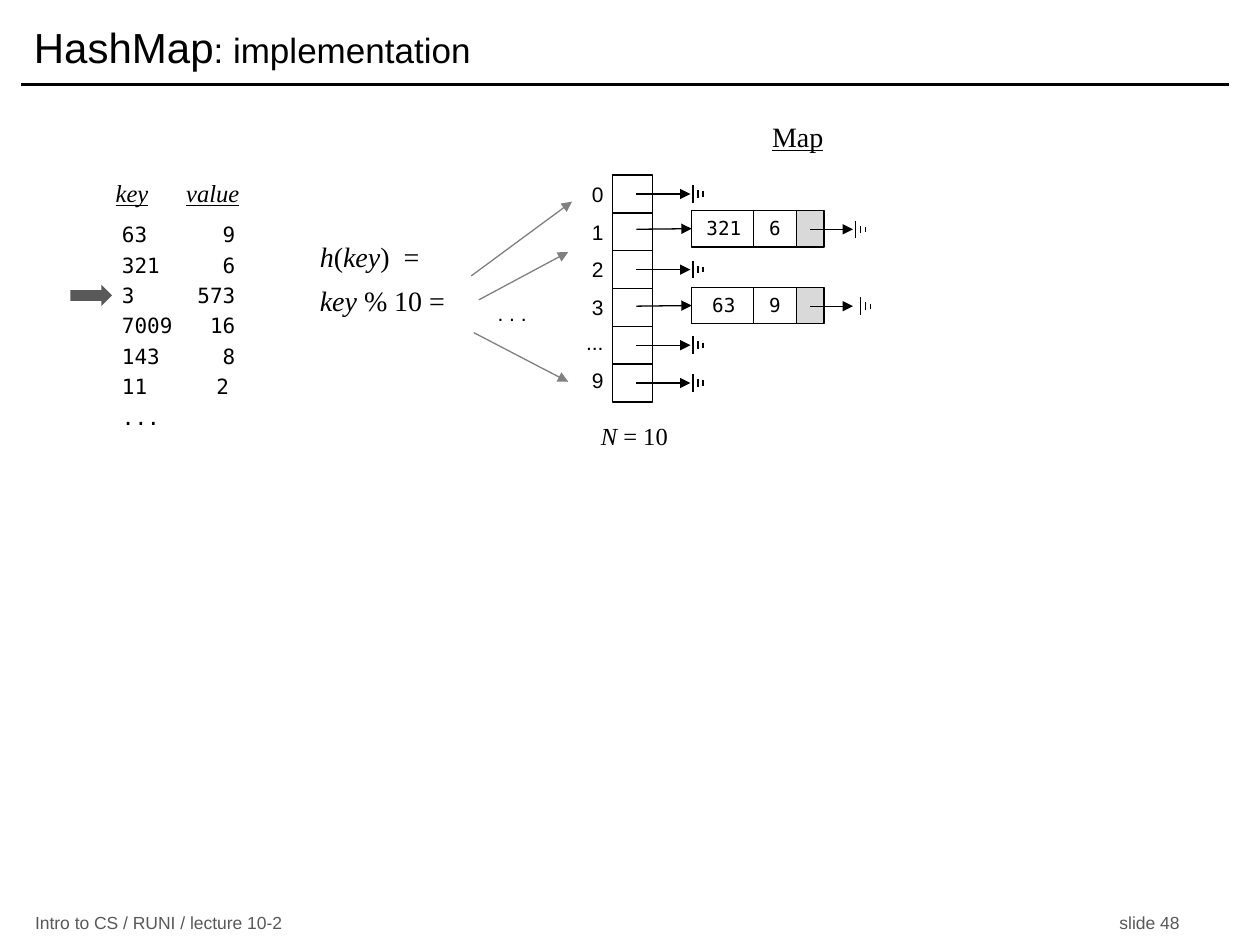
import pptx
import pptx.util
import pptx.dml.color
import pptx.enum.text
import pptx.enum.shapes
import pptx.oxml.ns
import lxml.etree

Inches = pptx.util.Inches
Pt = pptx.util.Pt
qn = pptx.oxml.ns.qn
ALIGN = pptx.enum.text.PP_ALIGN
ANCHOR = pptx.enum.text.MSO_ANCHOR
SHAPE = pptx.enum.shapes.MSO_SHAPE
COLORS = {"ink": "000000", "dark": "595959", "mid": "808080",
          "pale": "D9D9D9", "white": "FFFFFF"}
SANS, SERIF, MONO = "Arial", "Times New Roman", "DejaVu Sans Mono"


def rgb(name):
    return pptx.dml.color.RGBColor.from_string(COLORS[name])


def write(para, text, font=SANS, size=12, color="ink", italic=False, under=False):
    """Add one run of formatted text to a paragraph."""
    run = para.add_run()
    run.text = text
    run.font.name, run.font.size = font, Pt(size)
    run.font.color.rgb = rgb(color)
    run.font.italic, run.font.underline = italic, under


class Draw:
    """Holds the slide and the shared line style."""

    def __init__(self, slide, width=0.75):
        self.slide = slide
        self.width = width

    def frame(self, shape, side=0.1, right=None, anchor=ANCHOR.TOP):
        frame = shape.text_frame
        frame.word_wrap = True
        frame.vertical_anchor = anchor
        frame.margin_left = Inches(side)
        frame.margin_right = Inches(side if right is None else right)
        frame.margin_top = frame.margin_bottom = Inches(0.05)
        return frame

    def text(self, x, y, w, h, lines, align=ALIGN.LEFT, gap=0, lead=None,
             tabs=None, side=0.1, right=None, anchor=ANCHOR.TOP, **fmt):
        """Each line is a list of (text, format) runs; tabs are (place, kind) per line."""
        box = self.slide.shapes.add_textbox(Inches(x), Inches(y), Inches(w), Inches(h))
        frame = self.frame(box, side, right, anchor)
        for i, runs in enumerate(lines):
            para = frame.add_paragraph() if i else frame.paragraphs[0]
            if tabs:
                place, kind = tabs[i]
                stops = lxml.etree.SubElement(para._p.get_or_add_pPr(), qn("a:tabLst"))
                lxml.etree.SubElement(stops, qn("a:tab"), pos=str(Inches(place)), algn=kind)
            para.alignment = align
            if lead:
                para.line_spacing = lead
            if i:
                para.space_before = Pt(gap)
            for words, extra in runs:
                write(para, words, **{**fmt, **extra})

    def shape(self, x, y, w, h, kind=SHAPE.RECTANGLE, fill=None, edge="ink", label=None):
        item = self.slide.shapes.add_shape(kind, Inches(x), Inches(y), Inches(w), Inches(h))
        item.shadow.inherit = False
        if fill:
            item.fill.solid()
            item.fill.fore_color.rgb = rgb(fill)
        else:
            item.fill.background()
        if edge:
            item.line.color.rgb = rgb(edge)
            item.line.width = Pt(self.width)
        else:
            item.line.fill.background()
        if label:
            para = self.frame(item, 0).paragraphs[0]
            para.alignment = ALIGN.CENTER
            write(para, label, font=MONO, size=11)
        return item

    def line(self, x1, y1, x2, y2, color="ink", width=None, arrow=False, goal=None):
        item = self.slide.shapes.add_connector(
            pptx.enum.shapes.MSO_CONNECTOR.STRAIGHT,
            Inches(x1), Inches(y1), Inches(x2), Inches(y2))
        item.line.color.rgb = rgb(color)
        item.line.width = Pt(width or self.width)
        if arrow:
            lxml.etree.SubElement(item.line._get_or_add_ln(), qn("a:tailEnd"), type="triangle")
        lxml.etree.SubElement(item._element.spPr, qn("a:effectLst"))
        if goal is not None:
            item.end_connect(goal, 1)

    def null(self, x, y):
        """Ground sign: three shrinking bars."""
        for step, half in ((0, 0.07), (0.04, 0.03), (0.08, 0.02)):
            self.line(x + step, y - half, x + step, y + half)

    def node(self, y, key, value):
        """List entry with key, value and a null link; returns the key cell."""
        first = self.shape(5.49, y, 0.51, 0.29, label=key)
        self.shape(6.31, y, 0.23, 0.29, fill="pale")
        self.shape(5.98, y, 0.34, 0.29, fill="white", label=value)
        self.line(6.43, y + 0.15, 6.77, y + 0.15, arrow=True)
        return first


def main():
    deck = pptx.Presentation()
    deck.slide_width, deck.slide_height = Inches(10), Inches(7.5)
    draw = Draw(deck.slides.add_slide(deck.slide_layouts[6]))

    # Title and footer
    draw.line(0.17, 0.67, 9.75, 0.67, width=2)
    draw.text(0.17, 0.08, 9.58, 0.58,
              [[("HashMap", {"size": 24}), (": implementation", {"size": 20})]],
              anchor=ANCHOR.MIDDLE)
    for x, align, words in ((0.18, ALIGN.LEFT, "Intro to CS / RUNI / lecture 10-2"),
                            (6.46, ALIGN.RIGHT, "slide 48")):
        draw.text(x, 7.23, 3, 0.19, [[(words, {})]], align=align,
                  anchor=ANCHOR.MIDDLE, size=10, color="dark")

    # Key and value list
    draw.text(0.82, 1.41, 3.17, 0.33,
              [[("key", {"under": True}), ("\t", {}), ("value", {"under": True})]],
              tabs=[(0.56, "l")], lead=0.8, font=SERIF, size=14, italic=True)
    pairs = ["63\t9", "321\t6", "3\t573", "7009\t16", "143\t8", "11\t2", "..."]
    stops = [(0.85 if pair == "11\t2" else 0.9, "r") for pair in pairs]
    draw.text(0.87, 1.71, 2.63, 2.44, [[(pair, {})] for pair in pairs],
              tabs=stops, gap=3, font=MONO)
    draw.shape(0.56, 2.26, 0.33, 0.17, SHAPE.RIGHT_ARROW, fill="dark", edge=None)

    # Hash function and its arrows
    slant = {"italic": True}
    draw.text(2.44, 1.85, 1.25, 0.72,
              [[("h", slant), ("(", {}), ("key", slant), (")  =", {})],
               [("key", slant), (" % 10 =", {})]], gap=6, font=SERIF, size=16)
    for ends in ((3.74, 2.19, 4.54, 1.6), (3.8, 2.38, 4.51, 2), (3.76, 2.64, 4.51, 3.03)):
        draw.line(*ends, color="mid", arrow=True)
    draw.text(3.76, 2.34, 0.5, 0.3, [[(". . .", {})]], align=ALIGN.RIGHT, side=0, right=0.08)

    # Map: slots, with a list entry or a null behind each
    draw.text(6.03, 0.95, 0.86, 0.33, [[("Map", {})]], lead=0.8,
              font=SERIF, size=16, under=True)
    nodes = {"1": (1.67, "321", "6"), "3": (2.28, "63", "9")}
    pitch = 0.3
    for i, name in enumerate(["0", "1", "2", "3", "...", "9"]):
        top = 1.39 + pitch * i
        mid = top + pitch / 2
        draw.shape(4.86, top, 0.32, pitch)
        lift = 0.02 if i > 3 else 0
        draw.text(4.37, top - lift, 0.5, pitch, [[(name, {})]],
                  align=ALIGN.RIGHT, side=0, right=0.08)
        if name in nodes:
            goal = draw.node(*nodes[name])
            draw.line(5.05, nodes[name][0] + 0.15, 5.49, mid, arrow=True, goal=goal)
        else:
            draw.line(5.05, mid, 5.48, mid, arrow=True)
            draw.null(5.5, mid)
    draw.null(6.79, 1.82)
    draw.null(6.83, 2.43)
    draw.text(4.67, 3.29, 1.64, 0.34, [[("N", slant), (" = 10", {})]], font=SERIF, size=14)

    deck.save("out.pptx")


if __name__ == "__main__":
    main()
